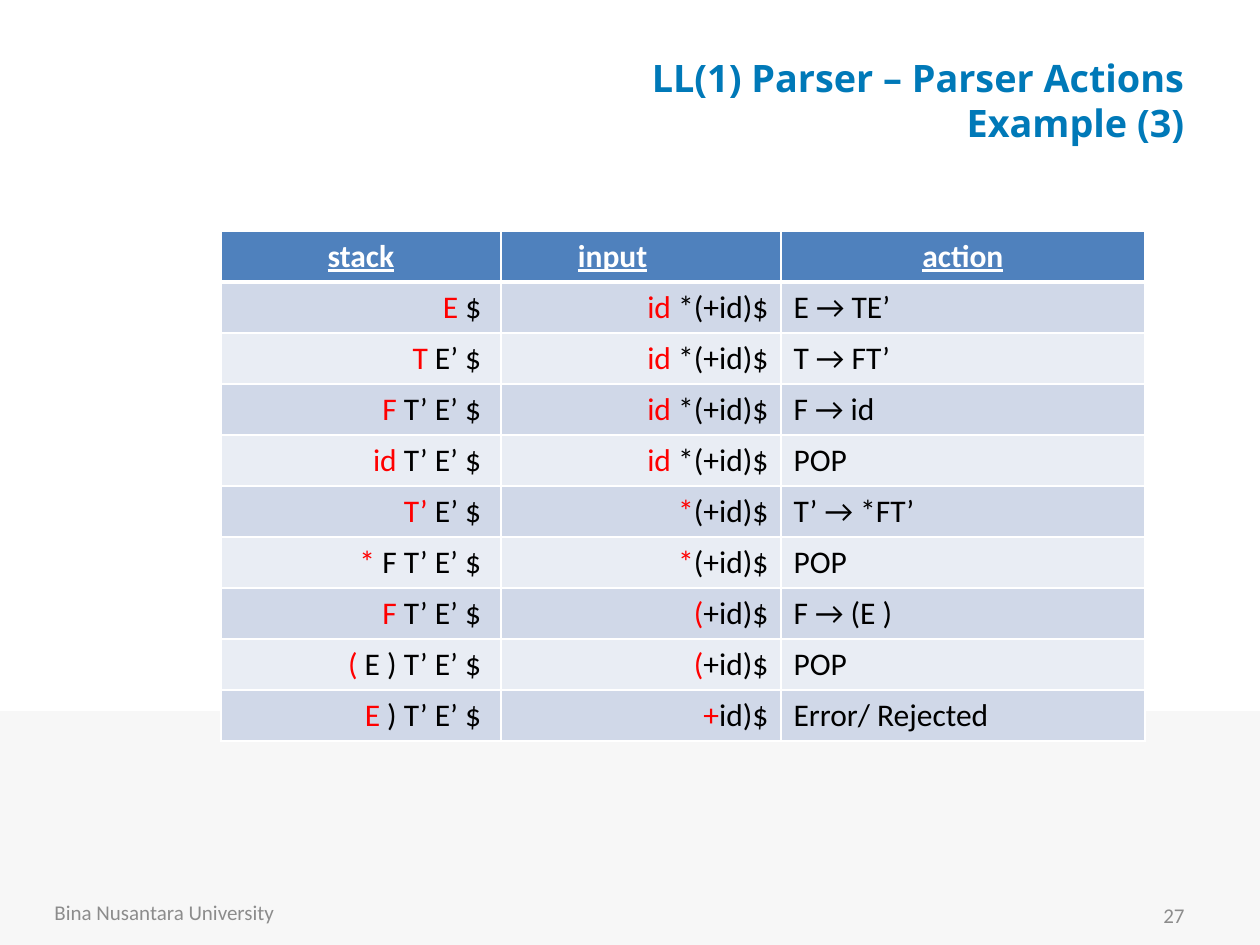
from lxml import etree
from pptx import Presentation
from pptx.dml.color import RGBColor
from pptx.enum.shapes import MSO_SHAPE
from pptx.enum.text import MSO_ANCHOR, MSO_AUTO_SIZE, PP_ALIGN
from pptx.oxml.ns import qn
from pptx.util import Pt

PX = 914400 / 126
LEFT, MID, RIGHT, JUST = PP_ALIGN.LEFT, PP_ALIGN.CENTER, PP_ALIGN.RIGHT, PP_ALIGN.JUSTIFY
RED, BLACK, WHITE, GRAY = "FF0000", "000000", "FFFFFF", "8C8C8C"
BLUE, HEAD, BANDS = "0079B8", "4F81BD", ("D0D8E8", "E9EDF4")

COLS = (280, 280, 364)
ROW = 51
# Each step: stack top, rest of stack, next token, rest of input, action
STEPS = (
    ("E", " $ ", "id", " *(+id)$", "E → TE’"),
    ("T", " E’ $ ", "id", " *(+id)$", "T → FT’"),
    ("F", " T’ E’ $ ", "id", " *(+id)$", "F → id"),
    ("id", " T’ E’ $ ", "id", " *(+id)$", "POP"),
    ("T’", " E’ $ ", "*", "(+id)$", "T’ → *FT’"),
    ("*", " F T’ E’ $ ", "*", "(+id)$", "POP"),
    ("F", " T’ E’ $ ", "(", "+id)$", "F → (E )"),
    ("(", " E ) T’ E’ $ ", "(", "+id)$", "POP"),
    ("E", " ) T’ E’ $ ", "+", "id)$", "Error/ Rejected"),
)


def px(n):
    return round(n * PX)


def rgb(code):
    return RGBColor.from_string(code)


def write(para, text, size=18, face="Calibri", color=BLACK, bold=False,
          line=False, align=LEFT):
    """Add one formatted run to a paragraph."""
    para.alignment = align
    run = para.add_run()
    run.text = text
    font = run.font
    font.size, font.name, font.bold, font.underline = Pt(size), face, bold, line
    font.color.rgb = rgb(color)


def place(shape, x, y, w, h):
    shape.left, shape.top, shape.width, shape.height = map(px, (x, y, w, h))


def add_title(slide, *lines):
    title = slide.shapes.title
    place(title, 494, 53, 703, 94)
    frame = title.text_frame
    frame.auto_size = MSO_AUTO_SIZE.NONE
    frame.vertical_anchor = MSO_ANCHOR.MIDDLE
    for i, text in enumerate(lines):
        para = frame.add_paragraph() if i else frame.paragraphs[0]
        write(para, text, size=21.6, face="Open Sans", color=BLUE, bold=True, align=RIGHT)


def add_band(slide):
    band = slide.shapes.add_shape(MSO_SHAPE.RECTANGLE, 0, px(711), px(1260), px(234))
    band.shadow.inherit = False
    band.fill.solid()
    band.fill.fore_color.rgb = rgb("F7F7F7")
    band.line.fill.background()


def add_note(slide, text, x, y, w, h, align):
    frame = slide.shapes.add_textbox(px(x), px(y), px(w), px(h)).text_frame
    frame.word_wrap = True
    frame.vertical_anchor = MSO_ANCHOR.MIDDLE
    write(frame.paragraphs[0], text, size=12, color=GRAY, align=align)


def style(cell, fill, top=1, base=1):
    """Give a cell white borders (widths in points) and a fill."""
    props = cell._tc.get_or_add_tcPr()
    for side, width in (("L", 1), ("R", 1), ("T", top), ("B", base)):
        edge = etree.SubElement(props, qn("a:ln" + side), w=str(Pt(width)))
        paint = etree.SubElement(edge, qn("a:solidFill"))
        etree.SubElement(paint, qn("a:srgbClr"), val=WHITE)
    cell.fill.solid()
    cell.fill.fore_color.rgb = rgb(fill)


def add_trace(slide):
    """Draw the table of parser steps."""
    count = len(STEPS) + 1
    table = slide.shapes.add_table(count, len(COLS), px(221), px(231),
                                   px(sum(COLS)), px(ROW * count)).table
    for col, width in zip(table.columns, COLS):
        col.width = px(width)
    for row in table.rows:
        row.height = px(ROW)

    for cell, name in zip(table.rows[0].cells, ("stack", "input", "action")):
        style(cell, HEAD, base=3)
        para = cell.text_frame.paragraphs[0]
        write(para, name, color=WHITE, bold=True, line=True, align=MID)
        if name == "input":
            write(para, "\t", color=WHITE, bold=True, align=MID)

    for i, (top, stack, token, rest, action) in enumerate(STEPS):
        cells = list(table.rows[i + 1].cells)
        for cell in cells:
            style(cell, BANDS[i % 2], top=1 if i else 3)
        for cell, first, tail in zip(cells, (top, token), (stack, rest)):
            para = cell.text_frame.paragraphs[0]
            write(para, first, color=RED, align=RIGHT)
            write(para, tail, align=RIGHT)
        write(cells[2].text_frame.paragraphs[0], action, align=JUST)


def main():
    deck = Presentation()
    deck.slide_width, deck.slide_height = px(1260), px(945)
    slide = deck.slides.add_slide(deck.slide_layouts[5])
    add_band(slide)
    add_note(slide, "Bina Nusantara University", 42, 880, 294, 65, LEFT)
    add_note(slide, "27", 903, 890, 294, 50, RIGHT)
    add_trace(slide)
    add_title(slide, "LL(1) Parser – Parser Actions", "Example (3)")
    deck.save("out.pptx")


if __name__ == "__main__":
    main()
